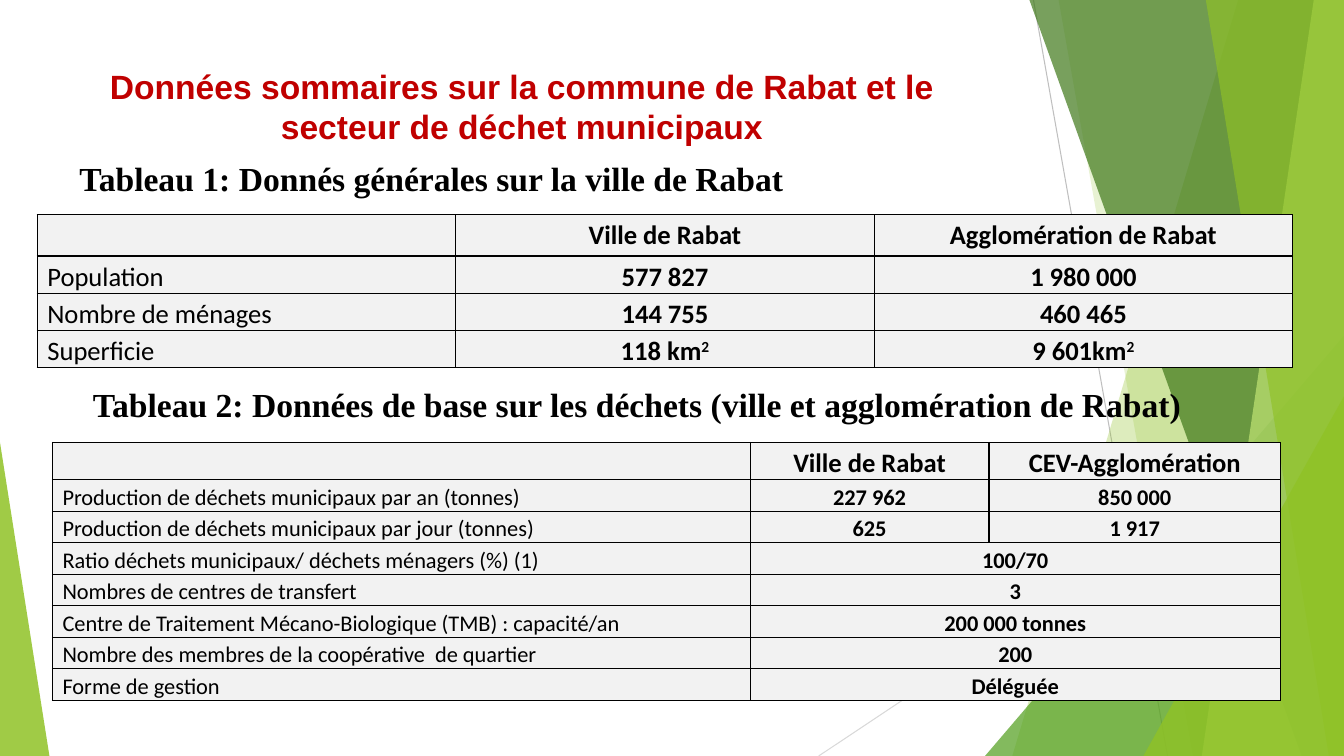
from lxml import etree
from pptx import Presentation
from pptx.dml.color import RGBColor
from pptx.enum.shapes import MSO_CONNECTOR, MSO_SHAPE
from pptx.enum.text import MSO_ANCHOR as ANCHOR, MSO_AUTO_SIZE, PP_ALIGN as ALIGN
from pptx.oxml import parse_xml
from pptx.oxml.ns import nsdecls, qn
from pptx.util import Inches, Pt

COLORS = {
    "title": "C00000", "text": "000000", "cell": "F2F2F2",
    "line": "BFBFBF", "pale_line": "D9D9D9",
    "green": "90C226", "leaf": "54A021", "forest": "3F7819", "lime": "C0E474",
}
WIDTH, HEIGHT = 13.33, 7.5

CITY_ROWS = [
    ["", "Ville de Rabat", "Agglomération de Rabat"],
    ["Population", "577 827", "1 980 000"],
    ["Nombre de ménages", "144 755", "460 465"],
    ["Superficie", "118 km^2", "9 601km^2"],
]
WASTE_ROWS = [
    ["", "Ville de Rabat", "CEV-Agglomération"],
    ["Production de déchets municipaux par an (tonnes)", "227 962", "850 000"],
    ["Production de déchets municipaux par jour (tonnes)", "625", "1 917"],
    ["Ratio déchets municipaux/ déchets ménagers (%) (1)", "100/70"],
    ["Nombres de centres de transfert", "3"],
    ["Centre de Traitement Mécano-Biologique (TMB)\u00a0: capacité/an", "200 000 tonnes"],
    ["Nombre des membres de la coopérative  de quartier", "200"],
    ["Forme de gestion", "Déléguée"],
]


def rgb(name):
    return RGBColor.from_string(COLORS[name])


def write(frame, text, size, font, color="text", bold=True, align=ALIGN.LEFT, spacing=None):
    """Fill a text frame; the part after ^ is set as superscript."""
    paragraph = frame.paragraphs[0]
    paragraph.alignment = align
    if spacing:
        paragraph.line_spacing = spacing
    for index, part in enumerate(text.split("^")):
        run = paragraph.add_run()
        run.text = part
        run.font.size, run.font.name, run.font.bold = Pt(size), font, bold
        run.font.color.rgb = rgb(color)
        if index:
            run._r.get_or_add_rPr().set("baseline", "30000")


def paint(shape, color, opacity):
    shape.shadow.inherit = False
    shape.line.fill.background()
    shape.fill.solid()
    shape.fill.fore_color.rgb = rgb(color)
    srgb = shape.fill._xPr.find(".//" + qn("a:srgbClr"))
    etree.SubElement(srgb, qn("a:alpha")).set("val", str(opacity * 1000))


def add_line(slide, start, end, color):
    line = slide.shapes.add_connector(
        MSO_CONNECTOR.STRAIGHT, *(Inches(value) for value in start + end))
    line.line.color.rgb = rgb(color)
    line.line.width = Pt(0.75)
    etree.SubElement(line._element.spPr, qn("a:effectLst"))


def add_band(slide, top_left, bottom_left, color, opacity):
    """Slanted band that reaches the right edge of the slide."""
    corners = [(Inches(x), Inches(y)) for x, y in (
        (top_left, 0), (WIDTH, 0), (WIDTH, HEIGHT), (bottom_left, HEIGHT))]
    builder = slide.shapes.build_freeform(*corners[0])
    builder.add_line_segments(corners[1:], close=True)
    paint(builder.convert_to_shape(), color, opacity)


def add_corner(slide, left, top, width, apex, color, opacity):
    """Triangle that stands on the bottom edge of the slide."""
    corner = slide.shapes.add_shape(
        MSO_SHAPE.ISOSCELES_TRIANGLE,
        Inches(left), Inches(top), Inches(width), Inches(HEIGHT - top))
    corner.adjustments[0] = apex
    paint(corner, color, opacity)


def add_decor(slide):
    add_line(slide, (10.25, 0), (11.58, HEIGHT), "line")
    add_line(slide, (WIDTH, 4.03), (8.12, HEIGHT), "pale_line")
    add_band(slide, 12.28, 10.04, "green", 30)
    add_band(slide, 10.5, 11.83, "green", 20)
    add_corner(slide, 9.77, 3.33, 3.56, 1, "leaf", 72)
    add_band(slide, 10.21, 12.91, "forest", 70)
    add_band(slide, 13.03, 11.92, "lime", 70)
    add_band(slide, 11.96, 13.18, "green", 65)
    add_corner(slide, 11.34, 3.93, 1.99, 1, "green", 80)
    add_corner(slide, 0, 4.39, 0.49, 0, "green", 85)


def add_title(slide, left, top, width, height, text):
    title = slide.shapes.title
    title.left, title.top, title.width, title.height = map(Inches, (left, top, width, height))
    frame = title.text_frame
    frame.word_wrap, frame.auto_size = True, MSO_AUTO_SIZE.NONE
    frame.vertical_anchor = ANCHOR.TOP
    write(frame, text, 24, "Arial", color="title", align=ALIGN.CENTER)


def add_caption(slide, left, top, width, height, text, side=0.1, anchor=ANCHOR.TOP):
    box = slide.shapes.add_textbox(*map(Inches, (left, top, width, height)))
    frame = box.text_frame
    frame.word_wrap = True
    frame.vertical_anchor = anchor
    frame.margin_left = frame.margin_right = Inches(side)
    write(frame, text, 24, "Times New Roman")


def style_cell(cell):
    cell.margin_left = cell.margin_right = Inches(0.1)
    cell.margin_top = cell.margin_bottom = 0
    cell.fill.solid()
    cell.fill.fore_color.rgb = rgb("cell")
    properties = cell._tc.get_or_add_tcPr()
    for index, side in enumerate("LRTB"):
        properties.insert(index, parse_xml(
            f'<a:ln{side} {nsdecls("a")} w="{Pt(1)}"><a:solidFill>'
            f'<a:srgbClr val="{COLORS["text"]}"/></a:solidFill></a:ln{side}>'))


def add_data_table(slide, left, top, columns, header_height, row_height, rows, size):
    """Table in which a row with one value spans it over all value columns."""
    height = header_height + row_height * (len(rows) - 1)
    table = slide.shapes.add_table(
        len(rows), len(columns), Inches(left), Inches(top),
        Inches(sum(columns)), Inches(height)).table
    table.first_row = table.horz_banding = False
    for column, width in zip(table.columns, columns):
        column.width = Inches(width)
    for r, values in enumerate(rows):
        table.rows[r].height = Inches(row_height if r else header_height)
        for c in range(len(columns)):
            style_cell(table.cell(r, c))
        if len(values) < len(columns):
            table.cell(r, 1).merge(table.cell(r, len(columns) - 1))
        for c, value in enumerate(values):
            if value:
                write(table.cell(r, c).text_frame, value, size if r else 19, "Calibri",
                      bold=c > 0, align=ALIGN.CENTER if c else ALIGN.LEFT, spacing=1.15)


def main():
    deck = Presentation()
    deck.slide_width, deck.slide_height = Inches(WIDTH), Inches(HEIGHT)
    slide = deck.slides.add_slide(deck.slide_layouts[5])
    add_decor(slide)
    add_title(slide, 0.67, 0.6, 9.01, 0.91,
              "Données sommaires sur la commune de Rabat et le secteur de déchet municipaux")
    add_data_table(slide, 0.37, 2.13, [4.15] * 3, 0.41, 0.37, CITY_ROWS, size=19)
    add_data_table(slide, 0.52, 4.39, [6.92, 2.37, 2.89], 0.37, 0.31, WASTE_ROWS, size=16)
    add_caption(slide, 0.69, 1.52, 10.73, 0.5,
                "Tableau 1: Donnés générales sur la ville de Rabat")
    add_caption(slide, 0.79, 3.74, 11.49, 0.54,
                "Tableau 2: Données de base sur les déchets (ville et agglomération de Rabat)",
                side=0.13, anchor=ANCHOR.MIDDLE)
    deck.save("out.pptx")


if __name__ == "__main__":
    main()
